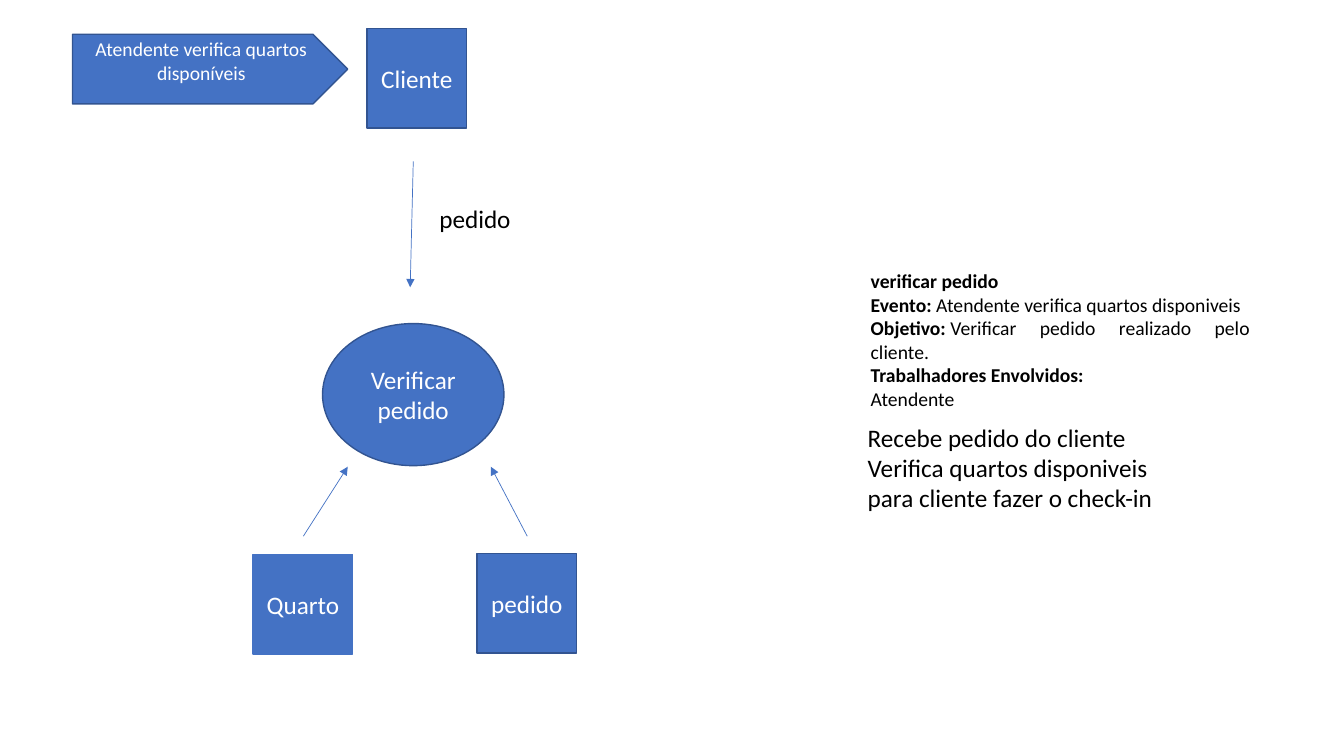
"""Draw the flow of a room check for a client's order."""
from dataclasses import dataclass

from lxml import etree
from pptx import Presentation
from pptx.dml.color import RGBColor
from pptx.enum.shapes import MSO_CONNECTOR, MSO_SHAPE
from pptx.enum.text import MSO_ANCHOR, PP_ALIGN
from pptx.oxml.ns import qn
from pptx.util import Pt

RECT, OVAL, PLATE = MSO_SHAPE.RECTANGLE, MSO_SHAPE.OVAL, MSO_SHAPE.PENTAGON
LINE = MSO_CONNECTOR.STRAIGHT
TOP, MIDDLE = MSO_ANCHOR.TOP, MSO_ANCHOR.MIDDLE
LEFT, CENTER, JUSTIFY = PP_ALIGN.LEFT, PP_ALIGN.CENTER, PP_ALIGN.JUSTIFY


@dataclass(frozen=True)
class Theme:
    """Colours, font and type sizes."""
    fill: RGBColor = RGBColor(0x44, 0x72, 0xC4)
    edge: RGBColor = RGBColor(0x32, 0x54, 0x91)
    white: RGBColor = RGBColor(255, 255, 255)
    black: RGBColor = RGBColor(0, 0, 0)
    font: str = "Calibri"
    small: int = 14
    large: int = 18


THEME = Theme()
SIDE = 71.3


@dataclass(frozen=True)
class Node:
    """A filled shape with a centred label."""
    text: str
    left: float
    top: float
    width: float = SIDE
    height: float = SIDE
    kind: int = RECT
    edge: RGBColor = THEME.edge
    size: int = THEME.large
    anchor: int = MIDDLE
    inset: float = 3.6


@dataclass(frozen=True)
class Arrow:
    """A thin arrow from one point to another."""
    x1: float
    y1: float
    x2: float
    y2: float


@dataclass(frozen=True)
class Note:
    """A text box whose paragraphs are pairs of bold and plain text."""
    left: float
    top: float
    width: float
    height: float
    lines: tuple[tuple[str, str], ...]
    size: int = THEME.large
    align: int = LEFT


NODES = (
    Node("Cliente", 262.1, 20.2),
    Node("Verificar pedido", 230.4, 231.1, 129.6, 101.5, OVAL),
    Node("Atendente verifica quartos disponíveis", 51.8, 24.5, 196.6, 49.7,
         PLATE, size=THEME.small, anchor=TOP, inset=2.2),
    Node("Quarto", 180.7, 396, edge=THEME.fill),
    Node("pedido", 340.6, 395.3),
)
ARROWS = (
    Arrow(295.2, 115.2, 293, 205.2),
    Arrow(376.6, 383, 350.6, 333.4),
    Arrow(216.7, 383, 248.4, 333.4),
)
NOTES = (
    Note(614.9, 188.6, 285.1, 108.7, (
        ("verificar pedido", ""),
        ("Evento: ", "Atendente verifica quartos disponiveis"),
        ("Objetivo:", "\u00a0Verificar pedido realizado pelo cliente."),
        ("Trabalhadores Envolvidos:", ""),
        ("", "Atendente"),
    ), THEME.small, JUSTIFY),
    Note(306.7, 141.8, 140.4, 28.8, (("", "pedido"),)),
    Note(612.7, 298.1, 244.1, 72.7, (
        ("", "Recebe pedido do cliente"),
        ("", "Verifica quartos disponiveis para cliente fazer o check-in"),
    )),
)


def style(para, size: int, color: RGBColor, align: int) -> None:
    """Set the font and alignment of a paragraph."""
    para.alignment = align
    para.font.name = THEME.font
    para.font.size = Pt(size)
    para.font.color.rgb = color


def draw_node(slide, node: Node) -> None:
    """Draw a labelled shape."""
    shape = slide.shapes.add_shape(node.kind, Pt(node.left), Pt(node.top),
                                   Pt(node.width), Pt(node.height))
    shape.shadow.inherit = False
    shape.fill.solid()
    shape.fill.fore_color.rgb = THEME.fill
    shape.line.color.rgb = node.edge
    shape.line.width = Pt(1)
    frame = shape.text_frame
    frame.word_wrap = True
    frame.vertical_anchor = node.anchor
    frame.margin_top = Pt(node.inset)
    frame.text = node.text
    style(frame.paragraphs[0], node.size, THEME.white, CENTER)


def draw_arrow(slide, arrow: Arrow) -> None:
    """Draw a line with a triangle at its end."""
    line = slide.shapes.add_connector(LINE, Pt(arrow.x1), Pt(arrow.y1),
                                      Pt(arrow.x2), Pt(arrow.y2))
    line.line.color.rgb = THEME.fill
    line.line.width = Pt(0.5)
    props = line.element.spPr
    etree.SubElement(props.find(qn("a:ln")), qn("a:tailEnd"), type="triangle")
    etree.SubElement(props, qn("a:effectLst"))


def draw_note(slide, note: Note) -> None:
    """Draw a box of plain and bold text."""
    box = slide.shapes.add_textbox(Pt(note.left), Pt(note.top),
                                   Pt(note.width), Pt(note.height))
    frame = box.text_frame
    frame.word_wrap = True
    for i, parts in enumerate(note.lines):
        para = frame.add_paragraph() if i else frame.paragraphs[0]
        style(para, note.size, THEME.black, note.align)
        for text, bold in zip(parts, (True, False)):
            if text:
                run = para.add_run()
                run.text = text
                run.font.bold = bold


def main() -> None:
    """Build and save the slide."""
    deck = Presentation()
    deck.slide_width, deck.slide_height = Pt(960), Pt(540)
    slide = deck.slides.add_slide(deck.slide_layouts[6])
    for node in NODES:
        draw_node(slide, node)
    for arrow in ARROWS:
        draw_arrow(slide, arrow)
    for note in NOTES:
        draw_note(slide, note)
    deck.save("out.pptx")


main()
